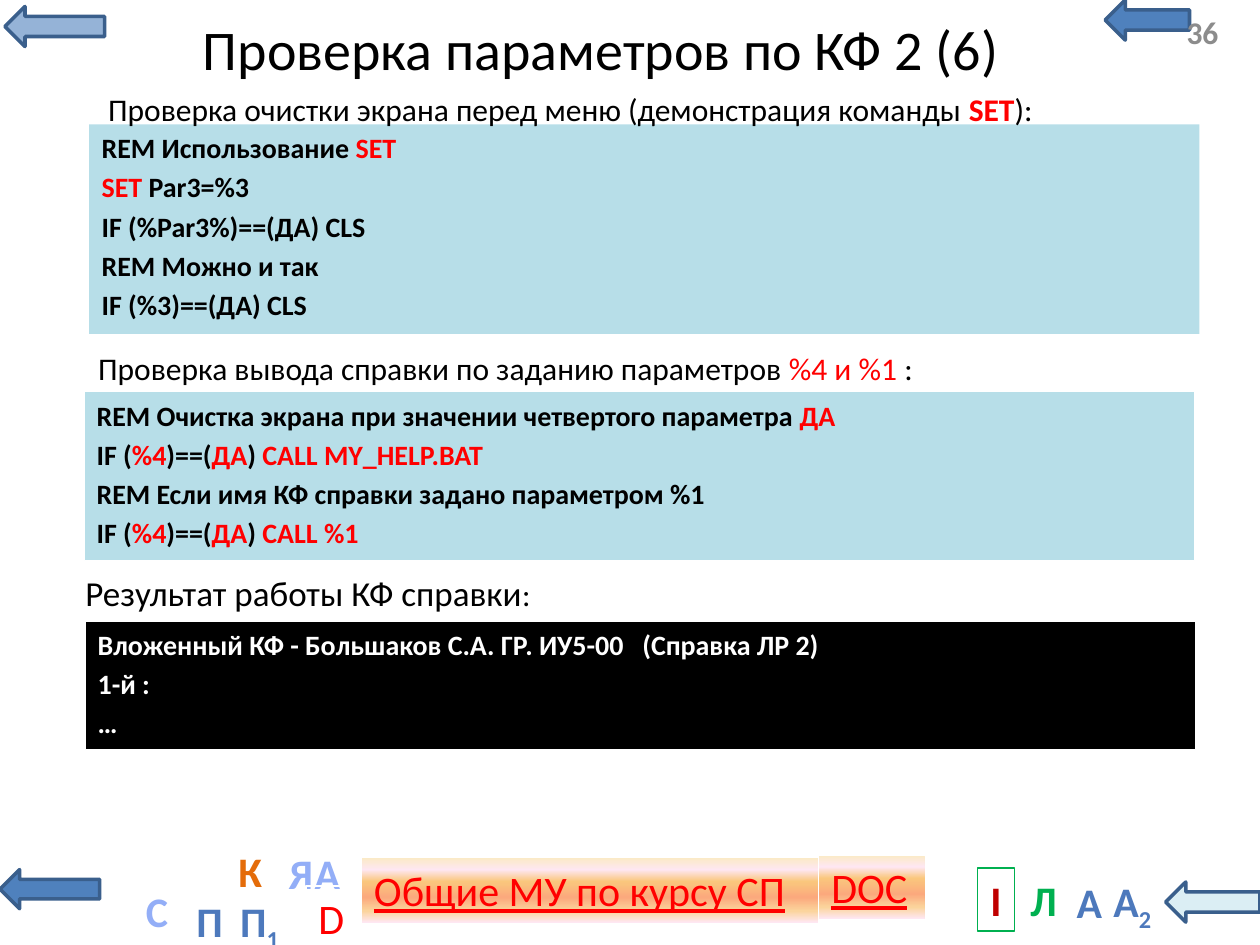
from lxml.etree import SubElement
from pptx import Presentation
from pptx.dml.color import RGBColor
from pptx.enum.shapes import MSO_SHAPE
from pptx.enum.text import MSO_ANCHOR, MSO_AUTO_SIZE, PP_ALIGN
from pptx.oxml.ns import qn
from pptx.util import Cm, Pt

RED, BLACK, WHITE, CYAN = "FF0000", "000000", "FFFFFF", "B7DEE8"
PEACH = [(0, "FBEAC7"), (18, "FEE7F2"), (36, "FAC77D"),
         (61, "FBA97D"), (82, "FBD49C"), (100, "FEE7F2")]
STEEL = [(0, "7494C9"), (49, "4D79BC"), (50, "346AAA"),
         (92, "325F94"), (100, "315D91")]


def color(value):
    return RGBColor.from_string(value)


def shift(box, left, top, width, height):
    """Turn a place relative to box into a place on the slide."""
    return box[0] + left, box[1] + top, width, height


def add_solid(parent, value, alpha=None):
    fill = SubElement(parent, qn("a:solidFill"))
    tone = SubElement(fill, qn("a:srgbClr"), val=value)
    if alpha:
        SubElement(tone, qn("a:alpha"), val=str(alpha * 1000))


def add_stops(grad, stops):
    """Fill a gradFill element with downward gradient stops."""
    for child in list(grad):
        grad.remove(child)
    group = SubElement(grad, qn("a:gsLst"))
    for place, value in stops:
        stop = SubElement(group, qn("a:gs"), pos=str(place * 1000))
        SubElement(stop, qn("a:srgbClr"), val=value)
    SubElement(grad, qn("a:lin"), ang="5400000", scaled="0")


def add_shape(slide, kind, box, fill=None, line=None, weight=0.75):
    shape = slide.shapes.add_shape(kind, *map(Cm, box))
    shape.shadow.inherit = False
    if isinstance(fill, list):
        shape.fill.gradient()
        add_stops(shape._element.spPr.find(qn("a:gradFill")), fill)
    elif fill:
        shape.fill.solid()
        shape.fill.fore_color.rgb = color(fill)
    else:
        shape.fill.background()
    if line:
        shape.line.color.rgb = color(line)
        shape.line.width = Pt(weight)
    else:
        shape.line.fill.background()
    return shape


def add_text(slide, box):
    return slide.shapes.add_textbox(*map(Cm, box))


def write(shape, lines, size, ink=BLACK, bold=False, accent=None,
          align=PP_ALIGN.LEFT, anchor=MSO_ANCHOR.TOP, wrap=True, grow=True):
    """Write lines; parts between bars are red, bold if accent says so."""
    frame = shape.text_frame
    frame.word_wrap = wrap
    frame.vertical_anchor = anchor
    frame.auto_size = (MSO_AUTO_SIZE.SHAPE_TO_FIT_TEXT if grow
                       else MSO_AUTO_SIZE.NONE)
    for i, line in enumerate(lines):
        para = frame.add_paragraph() if i else frame.paragraphs[0]
        para.alignment = align
        if i:
            para.space_before = Pt(3.2)
        font = para.font
        font.name, font.size, font.bold = "Calibri", Pt(size), bold
        font.color.rgb = color(ink)
        for j, part in enumerate(line.split("|")):
            if part:
                run = para.add_run()
                run.text = part
                if j % 2:
                    run.font.color.rgb = color(RED)
                    run.font.bold = accent
    return frame.paragraphs[0]


def arrow(slide, box, fill):
    add_shape(slide, MSO_SHAPE.LEFT_ARROW, box, fill, "3A5F8C", 2)


def code(slide, box, lines, fill=CYAN, ink=BLACK, line=WHITE):
    shape = add_shape(slide, MSO_SHAPE.RECTANGLE, box, fill, line)
    write(shape, lines, 16, ink, True)


def caption(slide, box, text, size=18, accent=None):
    return write(add_text(slide, box), [text], size, accent=accent)


def link(slide, box, text):
    shape = add_shape(slide, MSO_SHAPE.RECTANGLE, box, PEACH)
    write(shape, [text], 24, RED).font.underline = True


def letter(slide, box, text, ink, sub="", edge=None, frame=None, bold=True,
           alpha=None):
    """Place a menu letter; edge is the glyph outline, frame the box line."""
    shape = (add_shape(slide, MSO_SHAPE.RECTANGLE, box, line=frame)
             if frame else add_text(slide, box))
    para = write(shape, [text], 24, bold=bold,
                 align=PP_ALIGN.CENTER, wrap=False)
    if sub:
        para.add_run().text = sub
    for i, run in enumerate(para.runs):
        props = run._r.get_or_add_rPr()
        if i:
            props.set("baseline", "-25000")
        if edge:
            tone, weight = edge
            add_solid(SubElement(props, qn("a:ln"), w=str(Pt(weight))), tone)
        if isinstance(ink, list):
            add_stops(SubElement(props, qn("a:gradFill")), ink)
        else:
            add_solid(props, ink, alpha)
        if alpha:
            props.set("spc", "100")


def header(slide, box):
    arrow(slide, shift(box, 22.28, 0, 1.7, 0.81), "4F81BD")
    arrow(slide, shift(box, 0.1, 0.13, 2.01, 0.81), "95B3D7")
    title = add_text(slide, shift(box, 2.31, 0, 19.61, 1.96))
    write(title, ["Проверка параметров по КФ 2 (6)"], 32,
          align=PP_ALIGN.CENTER, anchor=MSO_ANCHOR.MIDDLE, grow=False)
    number = add_text(slide, shift(box, 23.67, 0.13, 1.63, 1.02))
    write(number, ["36"], 18, "8C8C8C", True,
          anchor=MSO_ANCHOR.MIDDLE, grow=False)


def footer(slide, box):
    arrow(slide, shift(box, 0, 0.63, 2.01, 0.79), "4F81BD")
    arrow(slide, shift(box, 23.5, 0.88, 1.9, 0.81), "DBEEF4")
    link(slide, shift(box, 7.29, 0.4, 9.2, 1.3), "Общие МУ по курсу СП")
    link(slide, shift(box, 16.51, 0.35, 2.13, 1.27), "DOC")
    pale = dict(edge=("93AEF7", 1.42), alpha=6)
    rim = dict(edge=("FEFEFE", 1.5))
    items = [
        (2.67, 0.83, 0.99, "С", "0D7BFF", pale),
        (3.71, 1.03, 0.84, "П", STEEL, {}),
        (4.55, 0.02, 0.99, "К", "E46C0A", rim),
        (4.55, 1.03, 1.37, "П", STEEL, dict(sub="1")),
        (5.54, 0.07, 1.6, "ЯА", "0D7BFF", pale),
        (6.17, 0.96, 0.99, "D", RED,
         dict(edge=("4F81BD", 0.8), frame=WHITE, bold=False)),
        (19.71, 0.6, 0.74, "I", "C00000", dict(frame="00B050")),
        (20.52, 0.6, 1.04, "Л", "00B050", rim),
        (21.44, 0.65, 1.04, "А", STEEL, {}),
        (22.15, 0.63, 1.35, "А", STEEL, dict(sub="2")),
    ]
    for left, top, width, text, ink, look in items:
        letter(slide, shift(box, left, top, width, 1.27), text, ink, **look)


def body(slide, box):
    wide = 22.38
    code(slide, shift(box, 0.33, 0.81, wide, 4.22), [
        "REM Использование |SET|", "|SET |Par3=%3",
        "IF (%Par3%)==(ДА) CLS", "REM Можно и так", "IF (%3)==(ДА) CLS",
    ], line=None)
    caption(slide, shift(box, 0.46, 0, wide, 1.02),
            "Проверка очистки экрана перед меню "
            "(демонстрация команды |SET|):", accent=True)
    caption(slide, shift(box, 0.26, 5.21, wide, 1.02),
            "Проверка вывода справки по заданию параметров |%4 и %1 |:")
    code(slide, shift(box, 0.23, 6.2, wide, 3.4), [
        "REM Очистка экрана при значении четвертого параметра |ДА|",
        "IF (|%4|)==(|ДА|) |CALL MY_HELP.BAT|",
        "REM Если имя КФ справки задано параметром %1",
        "IF (|%4|)==(|ДА|) |CALL %1|",
    ])
    result = caption(slide, shift(box, 0, 9.7, wide, 1.12),
                     "Результат работы КФ справки", 20)
    colon = result.add_run()
    colon.text = ":"
    colon.font.size = Pt(18)
    code(slide, shift(box, 0.25, 10.82, wide, 2.59), [
        "Вложенный КФ - Большаков С.А. ГР. ИУ5-00   (Справка ЛР 2)",
        "1-й :", "…",
    ], BLACK, WHITE)


def main():
    deck = Presentation()
    deck.slide_width, deck.slide_height = Cm(25.4), Cm(19.05)
    slide = deck.slides.add_slide(deck.slide_layouts[6])
    footer(slide, (0, 16.9))
    header(slide, (0, 0))
    body(slide, (1.47, 1.7))
    deck.save("out.pptx")


if __name__ == "__main__":
    main()
